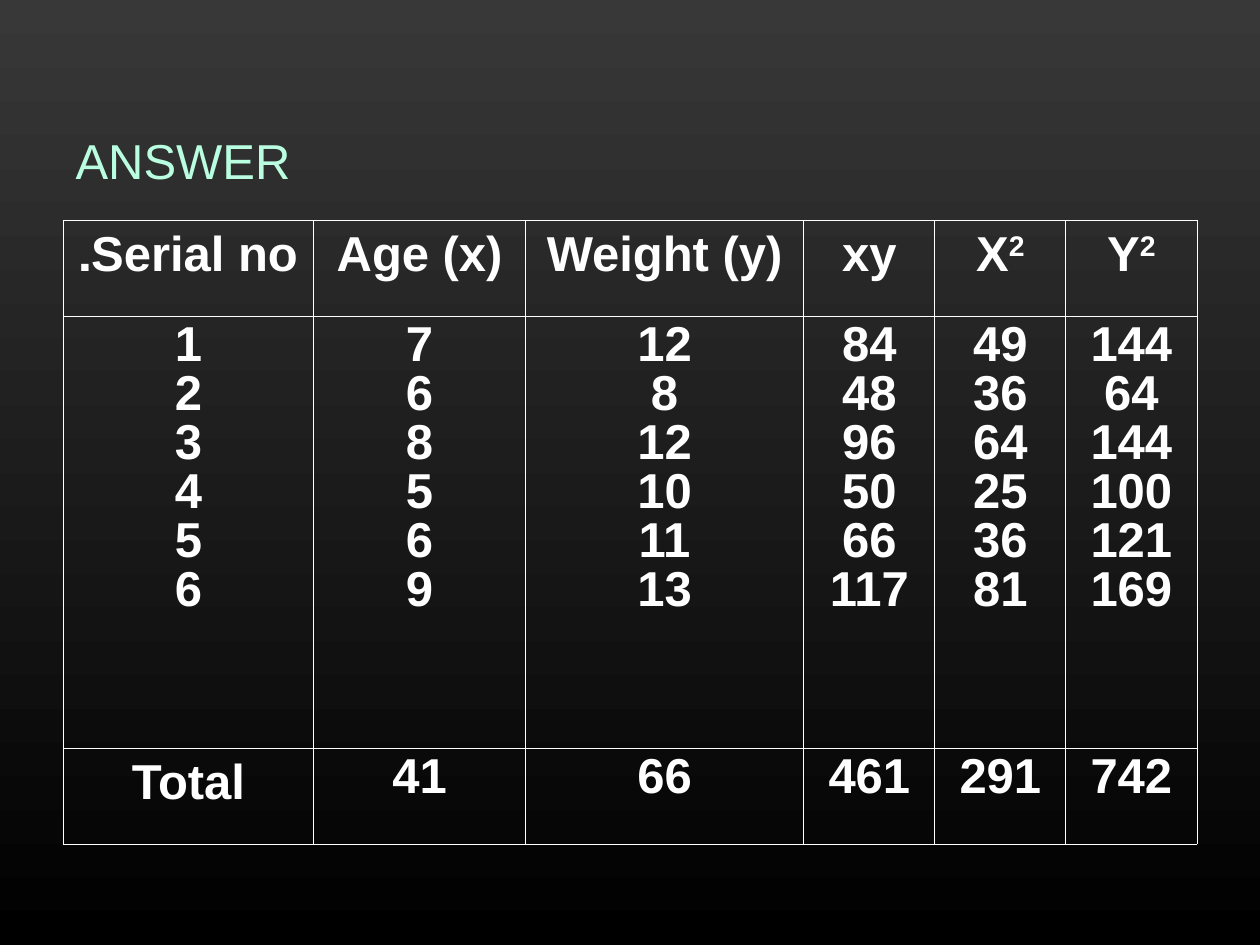
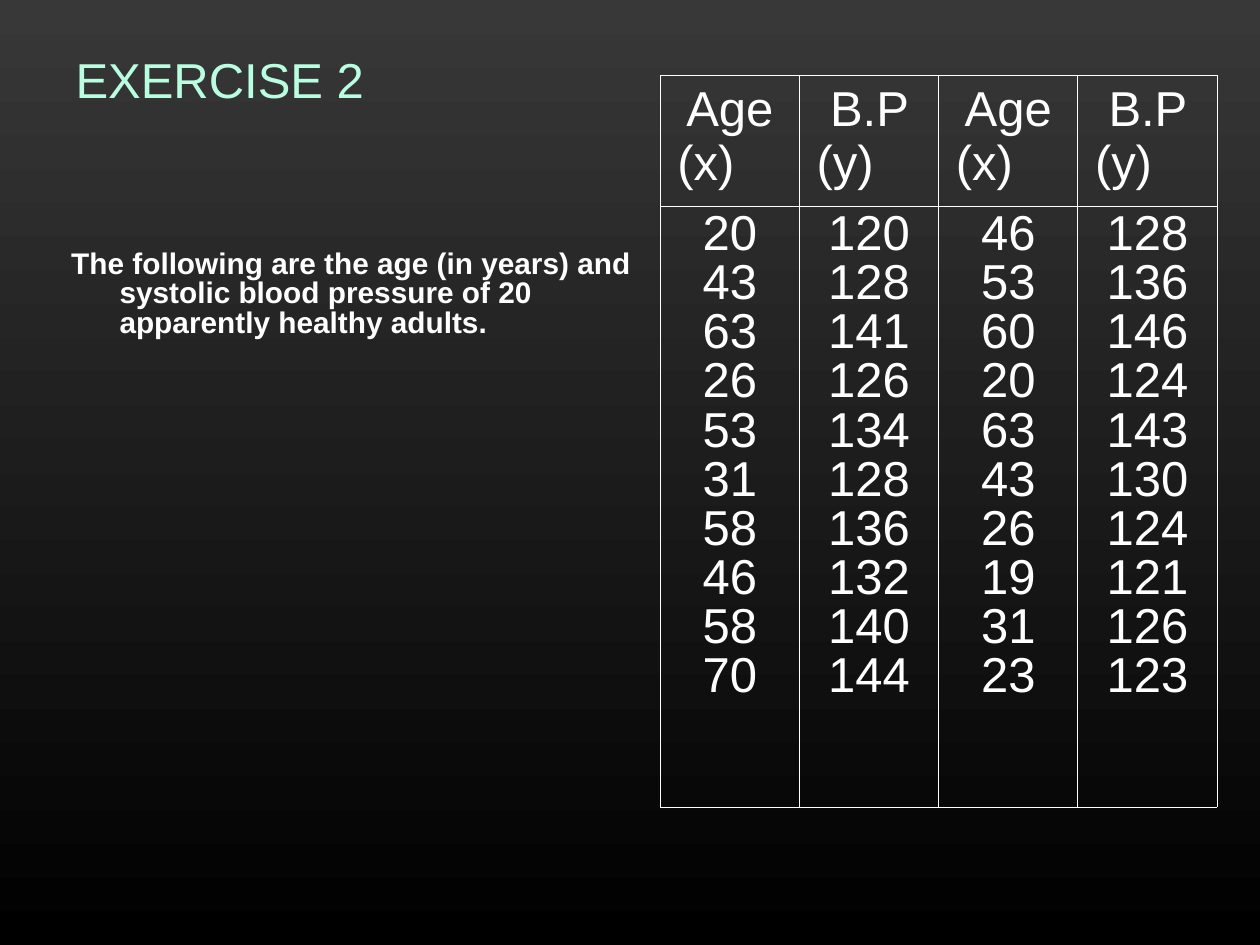
from lxml import etree
from pptx import Presentation
from pptx.dml.color import RGBColor
from pptx.enum import text
from pptx.oxml import ns
from pptx.util import Pt

COLORS = {"top": "383838", "bottom": "000000", "title": "BAFEE1", "text": "FFFFFF"}
FONT = "Arial"
SIZE = 28
HANG = 27.36
BORDER = 0.45

# Content: each cell is a label or a column of numbers; "^" starts a superscript
ANSWER = {
    "title": "ANSWER",
    "title_box": (36, 21.6, 648, 90),
    "table_at": (36, 126),
    "cols": [143.28, 120.96, 159.12, 74.88, 74.88, 74.88],
    "rows": [54.72, 246.96, 54.72],
    "bold": True,
    "cells": [
        ["Serial no.", "Age (x)", "Weight (y)", "xy", "X^2", "Y^2"],
        [[1, 2, 3, 4, 5, 6], [7, 6, 8, 5, 6, 9], [12, 8, 12, 10, 11, 13],
         [84, 48, 96, 50, 66, 117], [49, 36, 64, 25, 36, 81],
         [144, 64, 144, 100, 121, 169]],
        ["Total", [41], [66], [461], [291], [742]],
    ],
}
EXERCISE = {
    "title": "EXERCISE 2",
    "title_box": (36, 21.6, 648, 43.92),
    "table_at": (377.28, 43.2),
    "cols": [79.56] * 4,
    "rows": [74.52, 343.44],
    "bold": False,
    "cells": [
        ["Age (x)", "B.P (y)"] * 2,
        [[20, 43, 63, 26, 53, 31, 58, 46, 58, 70],
         [120, 128, 141, 126, 134, 128, 136, 132, 140, 144],
         [46, 53, 60, 20, 63, 43, 26, 19, 31, 23],
         [128, 136, 146, 124, 143, 130, 124, 121, 126, 123]],
    ],
}
QUESTION = ("The following are the age (in years) and systolic blood pressure "
            "of 20 apparently healthy adults.")
QUESTION_BOX = (19.44, 139.68, 351.36, 342.72)


def rgb(name):
    return RGBColor.from_string(COLORS[name])


def set_font(p, size, color, bold=False):
    p.font.name, p.font.size, p.font.bold = FONT, Pt(size), bold
    p.font.color.rgb = rgb(color)


def set_indent(p, left, first):
    pPr = p._p.get_or_add_pPr()
    pPr.set("marL", str(Pt(left)))
    pPr.set("indent", str(Pt(first)))
    return pPr


def add_borders(cell):
    tcPr = cell._tc.get_or_add_tcPr()
    for i, side in enumerate(("lnL", "lnR", "lnT", "lnB")):
        ln = etree.Element(ns.qn("a:" + side), w=str(Pt(BORDER)))
        fill = etree.SubElement(ln, ns.qn("a:solidFill"))
        etree.SubElement(fill, ns.qn("a:srgbClr"), val=COLORS["text"])
        tcPr.insert(i, ln)


def fill_cell(cell, content, bold):
    cell.fill.background()
    add_borders(cell)
    is_label = isinstance(content, str)
    tf = cell.text_frame
    for i, item in enumerate([content] if is_label else content):
        p = tf.add_paragraph() if i else tf.paragraphs[0]
        base, _, power = str(item).partition("^")
        p.add_run().text = base
        if power:
            r = p.add_run()
            r.text = power
            r.font._element.set("baseline", "30000")
        p.alignment = text.PP_ALIGN.CENTER
        pPr = set_indent(p, HANG, -HANG)
        if is_label:
            pPr.set("rtl", "1")
        else:
            p.line_spacing = Pt(SIZE)
        set_font(p, SIZE, "text", bold)


def add_table(s, data):
    cols, rows = data["cols"], data["rows"]
    frame = s.shapes.add_table(len(rows), len(cols), *map(Pt, data["table_at"]),
                               Pt(sum(cols)), Pt(sum(rows)))
    table = frame.table
    table.first_row = table.horz_banding = False
    for column, width in zip(table.columns, cols):
        column.width = Pt(width)
    for row, height, contents in zip(table.rows, rows, data["cells"]):
        row.height = Pt(height)
        for cell, content in zip(row.cells, contents):
            fill_cell(cell, content, data["bold"])


def add_slide(prs, data):
    s = prs.slides.add_slide(prs.slide_layouts[5])
    title = s.shapes.title
    title.left, title.top, title.width, title.height = map(Pt, data["title_box"])
    tf = title.text_frame
    tf.text = data["title"]
    tf.auto_size = text.MSO_AUTO_SIZE.NONE
    tf.vertical_anchor = text.MSO_ANCHOR.BOTTOM
    p = tf.paragraphs[0]
    p.alignment = text.PP_ALIGN.LEFT
    set_font(p, SIZE, "title")
    add_table(s, data)
    return s


def add_question(s):
    tf = s.shapes.add_textbox(*map(Pt, QUESTION_BOX)).text_frame
    tf.word_wrap = True
    p = tf.paragraphs[0]
    p.text = QUESTION
    set_indent(p, 41.76, -27.6)
    p.line_spacing = 0.83
    set_font(p, 17, "text", True)


def main():
    prs = Presentation()
    prs.slide_width, prs.slide_height = Pt(720), Pt(540)

    # Shared background, dark grey at the top down to black
    fill = prs.slide_master.background.fill
    fill.gradient()
    fill.gradient_angle = 270
    for stop, name, position in zip(fill.gradient_stops, ("top", "bottom"), (0, 1)):
        stop.color.rgb = rgb(name)
        stop.position = position

    add_slide(prs, ANSWER)
    add_question(add_slide(prs, EXERCISE))
    prs.save("out.pptx")


if __name__ == "__main__":
    main()
